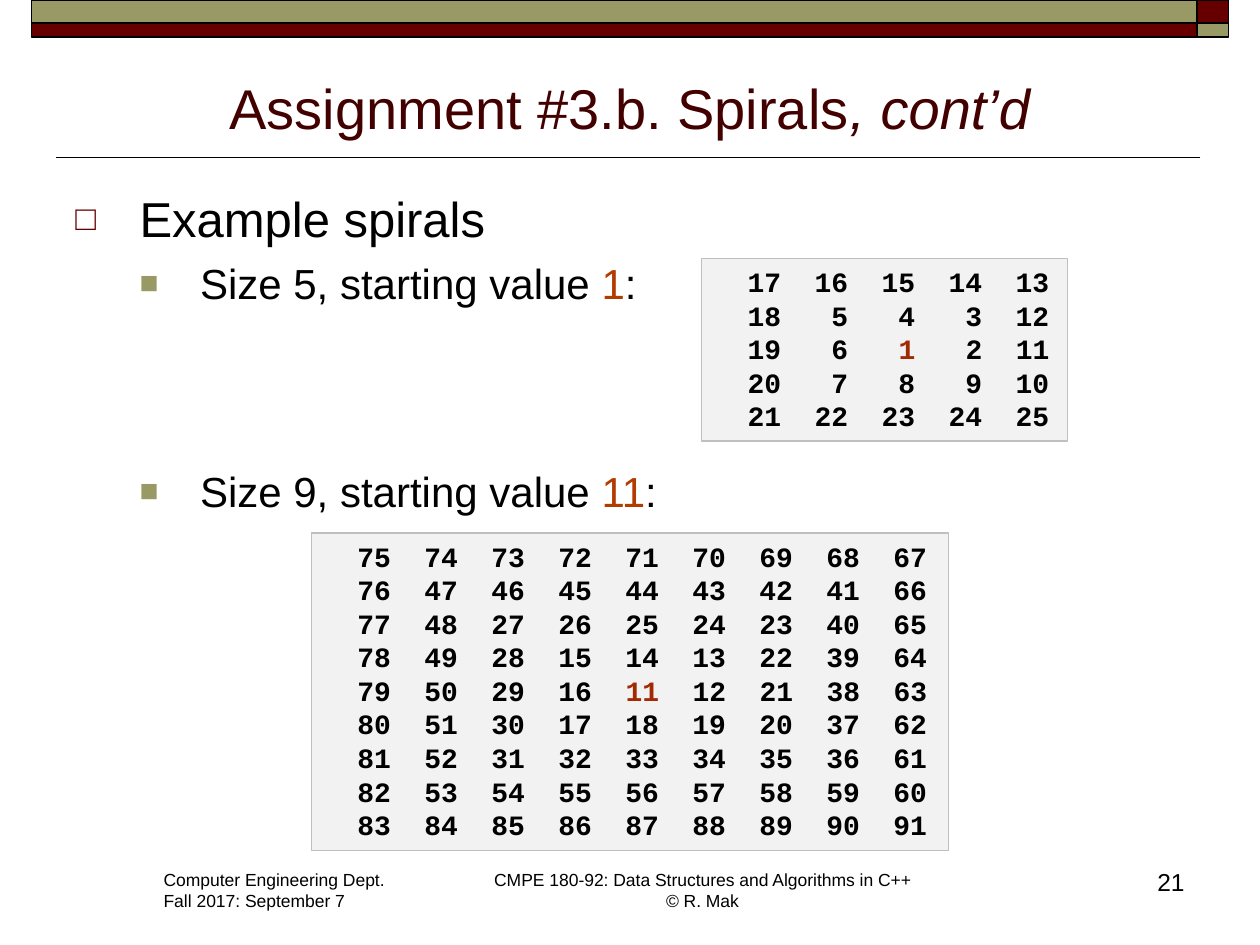
from lxml.etree import SubElement
from pptx import Presentation
from pptx.dml.color import RGBColor
from pptx.enum.shapes import MSO_CONNECTOR, MSO_SHAPE
from pptx.enum.text import MSO_ANCHOR, PP_ALIGN
from pptx.oxml.ns import qn
from pptx.util import Pt

BLACK, MAROON, OLIVE, RUST = "000000", "660000", "999966", "B23C00"
BAND_COLUMNS = [(18, 666), (684, 18)]
BAND_ROWS = [(0, 13, (OLIVE, MAROON)), (13, 8, (MAROON, OLIVE))]
TITLE = [("Assignment #3.b. Spirals", {}), (", cont’d", {"italic": True})]
OUTER = {"size": 28, "left": 36.75, "hang": 36.75,
         "bullet": ("□", MAROON, 70)}
INNER = {"size": 24, "left": 71.25, "hang": 34.5,
         "bullet": ("■", OLIVE, 75)}
# Runs, level, space before
BODY = [
    ([("Example spirals", {})], OUTER, 5.6),
    ([("Size 5, starting value ", {}), ("1", {"color": RUST}), (":", {})],
     INNER, 5.5),
    ([("Size 9, starting value ", {}), ("11", {"color": RUST}), (":", {})],
     INNER, 90),
]
# Size, starting value, place
SPIRALS = [(5, 1, (401, 147.6, 209, 104.4)),
           (9, 11, (178, 304.5, 364, 181.5))]
FOOTERS = [
    (["Computer Engineering Dept.", "Fall 2017: September 7"],
     (86.4, 493.2, 142.6, 31.7), 10, PP_ALIGN.LEFT, False),
    (["CMPE 180-92: Data Structures and Algorithms in C++\v© R. Mak"],
     (273.6, 493.2, 255.6, 31.7), 10, PP_ALIGN.CENTER, False),
    (["21"], (534, 492, 150, 36), 14, PP_ALIGN.RIGHT, True),
]


def rgb(value):
    """Turn a hex string into a colour."""
    return RGBColor.from_string(value)


def points(place):
    """Turn plain numbers into lengths."""
    return [Pt(value) for value in place]


def add_rectangle(page, place, fill, line, width):
    """Add a flat outlined rectangle."""
    box = page.shapes.add_shape(MSO_SHAPE.RECTANGLE, *points(place))
    box.shadow.inherit = False
    box.fill.solid()
    box.fill.fore_color.rgb = rgb(fill)
    box.line.color.rgb = rgb(line)
    box.line.width = Pt(width)
    return box


def fill_paragraph(para, runs, size, font="Arial", color=BLACK, bold=False):
    """Write runs of (text, changes) into a paragraph."""
    para.text = ""
    for text, changes in runs:
        span = para.add_run()
        span.text = text
        span.font.name = font
        span.font.size = Pt(size)
        span.font.bold = bold
        span.font.italic = changes.get("italic", False)
        span.font.color.rgb = rgb(changes.get("color", color))


def next_paragraph(frame, index):
    """Return the first paragraph, or a new one after it."""
    return frame.add_paragraph() if index else frame.paragraphs[0]


def set_bullet(para, level):
    """Give a paragraph its hanging bullet."""
    char, color, percent = level["bullet"]
    props = para._p.get_or_add_pPr()
    props.set("marL", str(Pt(level["left"])))
    props.set("indent", str(-Pt(level["hang"])))
    SubElement(SubElement(props, qn("a:buClr")), qn("a:srgbClr"), val=color)
    SubElement(props, qn("a:buSzPct"), val=str(percent * 1000))
    SubElement(props, qn("a:buFont"), typeface="Arial")
    SubElement(props, qn("a:buChar"), char=char)


def spiral(size, start):
    """Wind numbers from the centre: right, up, left, down."""
    grid = [[0] * size for _ in range(size)]
    row = column = size // 2
    down, right = 0, 1
    value, length = start, 1
    while True:
        for _ in range(2):
            for _ in range(length):
                grid[row][column] = value
                if value == start + size * size - 1:
                    return grid
                value, row, column = value + 1, row + down, column + right
            down, right = -right, down
        length += 1


def spiral_runs(numbers, start):
    """Set a row in four-character cells, with the start value coloured."""
    cells = [f"\u00a0 {number}".rjust(4) for number in numbers]
    if start not in numbers:
        return [("".join(cells), {})]
    middle = numbers.index(start)
    label = str(start)
    before = "".join(cells[:middle + 1])[:-len(label)]
    return [(before, {}), (label, {"color": "A12A03"}),
            ("".join(cells[middle + 1:]), {})]


deck = Presentation()
deck.slide_width, deck.slide_height = Pt(720), Pt(540)
page = deck.slides.add_slide(deck.slide_layouts[6])

rule = page.shapes.add_connector(MSO_CONNECTOR.STRAIGHT,
                                 *points((686, 90, 32, 90)))
rule.line.color.rgb = rgb(BLACK)
rule.line.width = Pt(1)
SubElement(rule._element.spPr, qn("a:effectLst"))

for top, height, fills in BAND_ROWS:
    for (left, width), fill in zip(BAND_COLUMNS, fills):
        add_rectangle(page, (left, top, width, height), fill, BLACK, 1)

for lines, place, size, align, wrap in FOOTERS:
    frame = page.shapes.add_textbox(*points(place)).text_frame
    frame.word_wrap = wrap
    for index, line in enumerate(lines):
        para = next_paragraph(frame, index)
        fill_paragraph(para, [(line, {})], size)
        if "\v" in line:
            para.text = line
            for span in para.runs:
                span.font.name, span.font.size = "Arial", Pt(size)
                span.font.color.rgb = rgb(BLACK)
        para.alignment = align

title = page.shapes.add_textbox(*points((36, 32.4, 648, 51.8))).text_frame
title.word_wrap = True
title.vertical_anchor = MSO_ANCHOR.BOTTOM
fill_paragraph(title.paragraphs[0], TITLE, 32, color="420000")
title.paragraphs[0].alignment = PP_ALIGN.CENTER

body = page.shapes.add_textbox(*points((36, 104.4, 648, 200))).text_frame
body.word_wrap = True
for index, (runs, level, space) in enumerate(BODY):
    para = next_paragraph(body, index)
    fill_paragraph(para, runs, level["size"])
    para.space_before = Pt(space)
    set_bullet(para, level)

for size, start, place in SPIRALS:
    frame = add_rectangle(page, place, "F2F2F2", "BFBFBF", 0.75).text_frame
    frame.word_wrap = False
    frame.vertical_anchor = MSO_ANCHOR.TOP
    for index, numbers in enumerate(spiral(size, start)):
        para = next_paragraph(frame, index)
        fill_paragraph(para, spiral_runs(numbers, start), 16,
                       font="Courier New", bold=True)
        para.alignment = PP_ALIGN.LEFT

deck.save("out.pptx")
